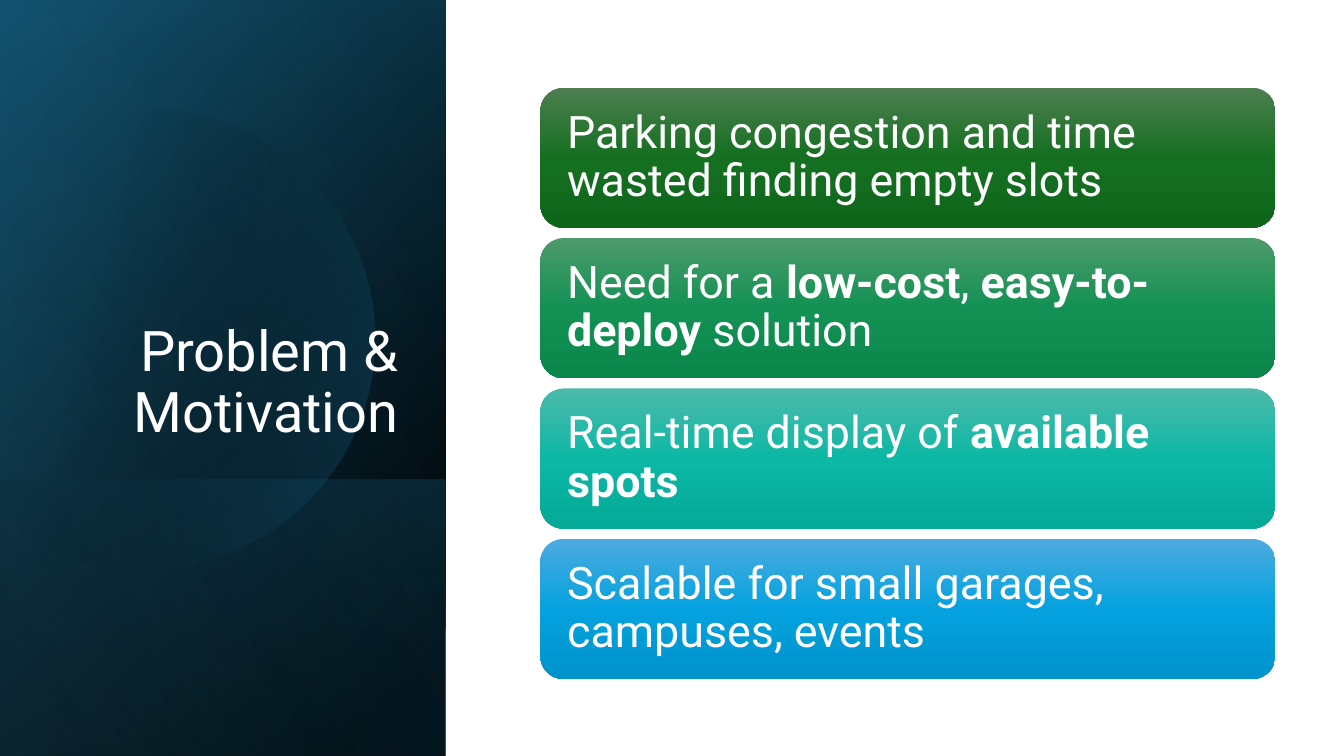
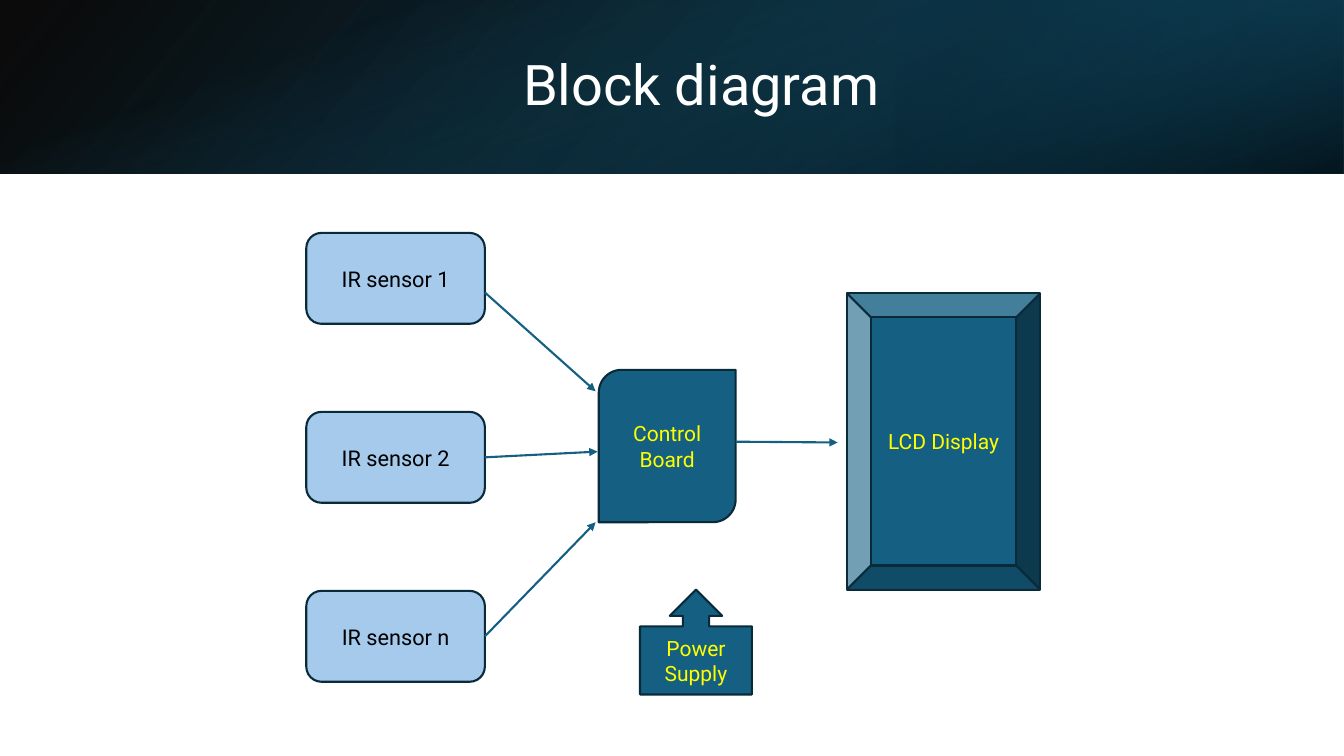
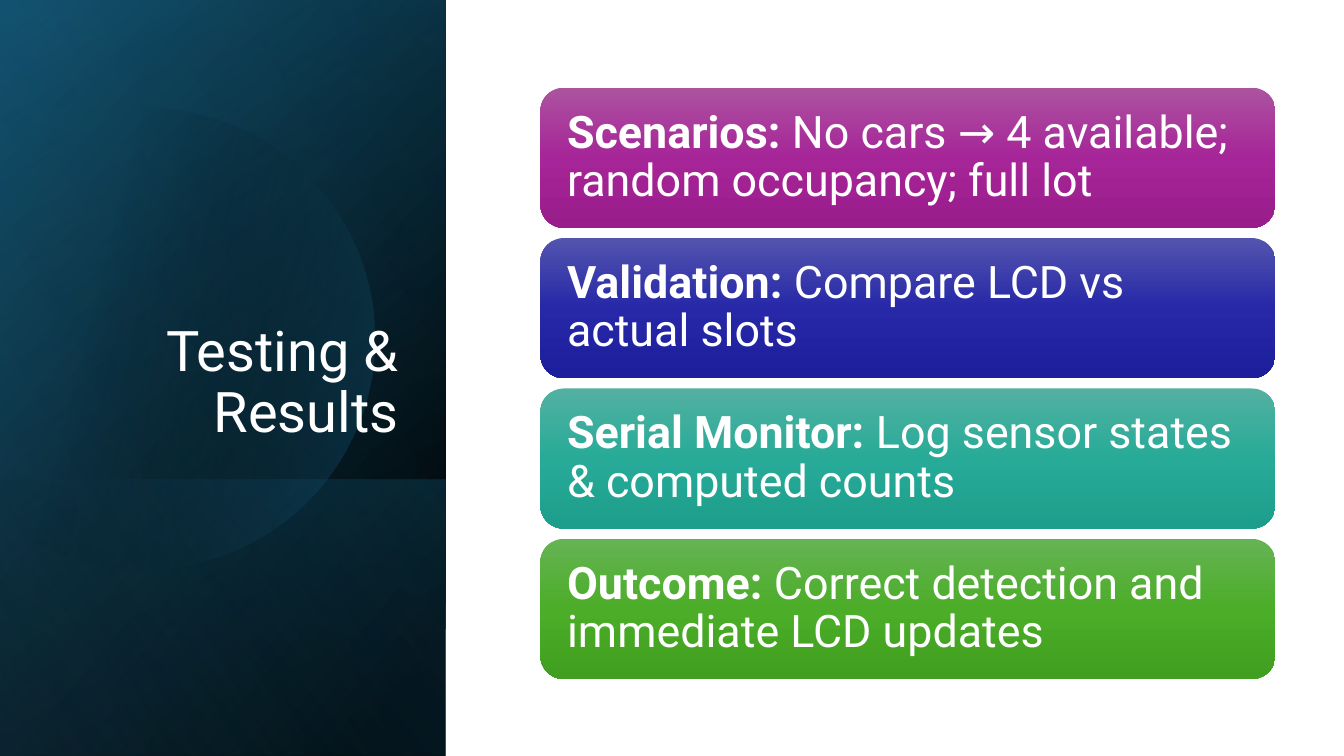
import math

import lxml.etree
import pptx
import pptx.dml.color
import pptx.enum.shapes
import pptx.enum.text
import pptx.oxml.ns
import pptx.util

Cm = pptx.util.Cm
Pt = pptx.util.Pt
qn = pptx.oxml.ns.qn
SHAPE = pptx.enum.shapes.MSO_SHAPE
ALIGN = pptx.enum.text.PP_ALIGN
ANCHOR = pptx.enum.text.MSO_ANCHOR

# Shared look
FONT = "Roboto"
WHITE, BLACK, YELLOW = "FFFFFF", "000000", "FFFF00"
BLUE, NAVY, SKY, PALE, EDGE = "156082", "104862", "46B1E1", "A6CAEC", "092A39"
SLIDE_W, SLIDE_H = 33.87, 19.05
SIDE_W, BAND_H = 11.23, 4.37


def color(value):
    return pptx.dml.color.RGBColor.from_string(value)


def write(p, content, size, ink, align=ALIGN.LEFT, line=None, after=0):
    """Fill a paragraph; parts between ** marks are bold."""
    p.alignment = align
    p.space_after = Pt(after)
    if line:
        p.line_spacing = line
    for i, part in enumerate(content.split("**")):
        if part:
            r = p.add_run()
            r.text = part
            r.font.name, r.font.size = FONT, Pt(size)
            r.font.bold = i % 2 == 1
            r.font.color.rgb = color(ink)


def gradient(sp, stops, angle):
    """Fill with (position, colour[, opacity]) stops, all in percent."""
    sp.fill.gradient()
    grad = sp.element.spPr.find(qn("a:gradFill"))
    for child in list(grad):
        grad.remove(child)
    stop_list = lxml.etree.SubElement(grad, qn("a:gsLst"))
    for position, value, *opacity in stops:
        gs = lxml.etree.SubElement(stop_list, qn("a:gs"), pos=str(position * 1000))
        clr = lxml.etree.SubElement(gs, qn("a:srgbClr"), val=value)
        for percent in opacity:
            lxml.etree.SubElement(clr, qn("a:alpha"), val=str(percent * 1000))
    lxml.etree.SubElement(grad, qn("a:lin"), ang=str(round(angle * 60000)), scaled="0")
    grad.set("rotWithShape", "1")


def add_shape(s, kind, x, y, w, h):
    sp = s.shapes.add_shape(kind, Cm(x), Cm(y), Cm(w), Cm(h))
    sp.shadow.inherit = False
    sp.line.fill.background()
    return sp


def add_panel(s, x, y, w, h, stops, angle, rotation=90, flip=True):
    """Gradient rectangle that covers x, y, w, h after its rotation."""
    if rotation == 90:
        x, y, w, h = x + (w - h) / 2, y + (h - w) / 2, h, w
    sp = add_shape(s, SHAPE.RECTANGLE, x, y, w, h)
    sp.rotation = rotation
    if flip:
        sp.element.spPr.find(qn("a:xfrm")).set("flipH", "1")
    gradient(sp, stops, angle)


def add_disc(s, cx, cy, radius):
    """Disc cut off by the left slide edge."""
    cut = math.degrees(math.acos(-cx / radius))
    steps = 120
    angles = [math.radians(-cut + 2 * cut * i / steps) for i in range(steps + 1)]
    points = [(Cm(cx + radius * math.cos(a)), Cm(cy + radius * math.sin(a)))
              for a in angles]
    outline = s.shapes.build_freeform(*points[0])
    outline.add_line_segments(points[1:], close=True)
    sp = outline.convert_to_shape()
    sp.shadow.inherit = False
    sp.line.fill.background()
    gradient(sp, [(29, BLACK, 0), (100, BLUE, 43)], 13.9)


def add_title(s, content, x, y, w, h, anchor, align):
    title = s.shapes.title
    title.left, title.top, title.width, title.height = Cm(x), Cm(y), Cm(w), Cm(h)
    tf = title.text_frame
    tf.word_wrap = True
    tf.auto_size = pptx.enum.text.MSO_AUTO_SIZE.NONE
    tf.vertical_anchor = anchor
    write(tf.paragraphs[0], content, 40, WHITE, align=align, line=0.9)
    title.element.getparent().append(title.element)  # in front of the backdrop


def add_card(s, x, y, w, h, content, colors):
    sp = add_shape(s, SHAPE.ROUNDED_RECTANGLE, x, y, w, h)
    gradient(sp, list(zip((0, 50, 100), colors)), 90)
    tf = sp.text_frame
    tf.word_wrap = True
    tf.vertical_anchor = ANCHOR.MIDDLE
    tf.margin_left = tf.margin_right = Cm(0.5)
    write(tf.paragraphs[0], content, 32, WHITE, line=0.9)


def add_block(s, kind, x, y, w, h, content, fill=BLUE, ink=YELLOW, size=15):
    sp = add_shape(s, kind, x, y, w, h)
    sp.fill.solid()
    sp.fill.fore_color.rgb = color(fill)
    sp.line.color.rgb = color(EDGE)
    sp.line.width = Pt(1.5)
    tf = sp.text_frame
    tf.word_wrap = True
    tf.vertical_anchor = ANCHOR.MIDDLE
    write(tf.paragraphs[0], content, size, ink, align=ALIGN.CENTER, after=6)
    return sp


def add_arrow(s, start, end, source=None):
    """Arrow between two points; a source block is joined at its right side."""
    line = s.shapes.add_connector(pptx.enum.shapes.MSO_CONNECTOR.STRAIGHT,
                                  *map(Cm, start + end))
    if source is not None:
        line.begin_connect(source, 3)
    line.line.color.rgb = color(BLUE)
    line.line.width = Pt(1.5)
    lxml.etree.SubElement(line.line._get_or_add_ln(), qn("a:tailEnd"), type="triangle")
    lxml.etree.SubElement(line.element.spPr, qn("a:effectLst"))


def new_slide(prs):
    return prs.slides.add_slide(prs.slide_layouts[5])


def cards_slide(prs, title, cards):
    s = new_slide(prs)
    # Side panel
    side = (0, 0, SIDE_W, SLIDE_H)
    add_panel(s, *side, [(8, BLACK), (100, NAVY)], 50)
    add_panel(s, *side, [(0, BLACK, 0), (99, BLUE, 46)], 30)
    add_panel(s, 0, 12.09, SIDE_W, 6.96, [(2, BLUE, 29), (100, BLACK, 30)], 130)
    add_disc(s, 3.61, 8.53, 5.82)
    add_panel(s, *side, [(0, BLACK, 0), (99, SKY, 11)], 120)
    add_title(s, title, 1.63, 4.67, 8.66, 6.65, ANCHOR.BOTTOM, ALIGN.RIGHT)
    # Stack of cards
    for i, (content, colors) in enumerate(cards):
        add_card(s, 13.62, 2.21 + 3.79 * i, 18.52, 3.53, content, colors)


def diagram_slide(prs):
    s = new_slide(prs)
    # Top band
    band = (0, 0, SLIDE_W, BAND_H)
    add_panel(s, *band, [(0, BLACK, 96), (100, NAVY)], 140, rotation=0)
    add_panel(s, SLIDE_W * 2 / 3, 0, SLIDE_W / 3, BAND_H,
              [(19, "0B3041", 68), (100, BLUE, 79)], 320, rotation=180)
    add_panel(s, *band, [(23, BLUE, 0), (99, BLACK, 74)], 340, flip=False)
    add_title(s, "Block diagram", 12.93, 0.97, 20.5, 2.44, ANCHOR.MIDDLE, ALIGN.LEFT)
    # Blocks
    sensors = [add_block(s, SHAPE.ROUNDED_RECTANGLE, 7.72, 5.87 + 4.51 * i, 4.5, 2.29,
                         f"IR sensor {name}", fill=PALE, ink=BLACK, size=15.5)
               for i, name in enumerate("12n")]
    add_block(s, SHAPE.ROUND_2_DIAG_RECTANGLE, 15.09, 9.32, 3.45, 3.84, "Control Board")
    add_block(s, SHAPE.UP_ARROW_CALLOUT, 16.13, 14.86, 2.82, 2.64, "Power Supply")
    add_block(s, SHAPE.BEVEL, 21.34, 7.39, 4.88, 7.47, "LCD Display")
    # Signal flow
    add_arrow(s, (12.22, 7.37), (15.01, 9.86))
    add_arrow(s, (12.22, 11.52), (15.06, 11.38), source=sensors[1])
    add_arrow(s, (12.22, 16.03), (15.01, 13.16), source=sensors[2])
    add_arrow(s, (18.54, 11.13), (21.11, 11.15))


def main():
    prs = pptx.Presentation()
    prs.slide_width, prs.slide_height = Cm(SLIDE_W), Cm(SLIDE_H)
    cards_slide(prs, "Problem & Motivation", [
        ("Parking congestion and time wasted finding empty slots",
         ("4D7E50", "156F21", "0F661B")),
        ("Need for a **low-cost**, **easy-to-deploy** solution",
         ("4D9A6B", "139154", "0B864B")),
        ("Real-time display of **available spots**",
         ("4CBAAB", "0DB7A5", "05A998")),
        ("Scalable for small garages, campuses, events",
         ("4CAADF", "05A2DF", "0092CB")),
    ])
    diagram_slide(prs)
    cards_slide(prs, "Testing & Results", [
        ("**Scenarios:** No cars → 4 available; random occupancy; full lot",
         ("AC53A0", "A62598", "991C8B")),
        ("**Validation:** Compare LCD vs actual slots",
         ("5354AE", "2628A8", "1D1E9B")),
        ("**Serial Monitor:** Log sensor states & computed counts",
         ("53B0A1", "27AB98", "1D9D8B")),
        ("**Outcome:** Correct detection and immediate LCD updates",
         ("66B354", "4BAD28", "409F1E")),
    ])
    prs.save("out.pptx")


if __name__ == "__main__":
    main()
